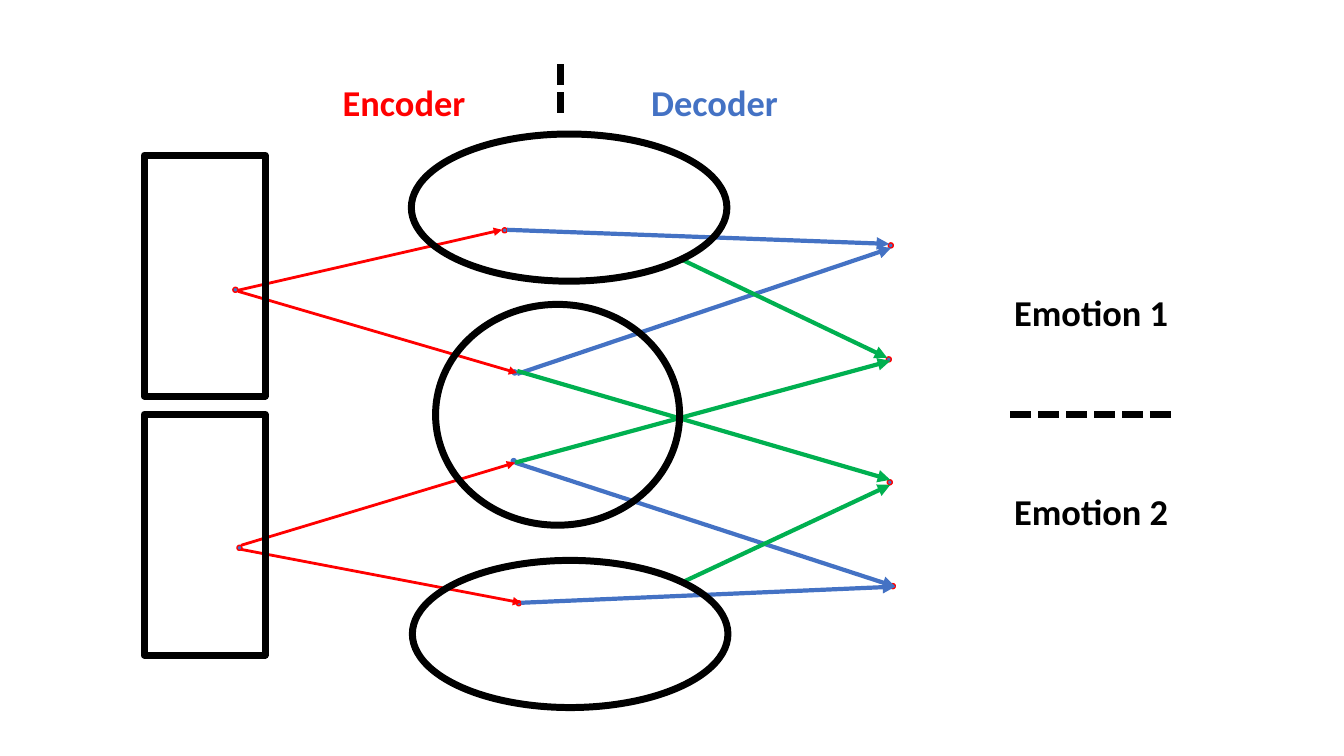
import pptx
import pptx.util
import pptx.dml.color
import pptx.enum.dml
import pptx.enum.shapes
import pptx.enum.text
import pptx.oxml.ns
from lxml import etree

RGB = pptx.dml.color.RGBColor
RED = RGB(0xFF, 0x00, 0x00)
BLUE = RGB(0x44, 0x72, 0xC4)
GREEN = RGB(0x00, 0xB0, 0x50)
BLACK = RGB(0x00, 0x00, 0x00)

FORM = pptx.enum.shapes.MSO_SHAPE
SCALE = 9144
DOT = 5

INPUTS = [(235, 541, RED), (231, 285, RED), (498, 226, RED),
          (507, 455, BLUE), (512, 596, RED), (508, 367, BLUE)]
TARGETS = [(881, 241, RED), (883, 579, RED), (879, 354, RED), (880, 476, RED)]

ENCODE = [(236, 288, 498, 228), (236, 289, 513, 370),
          (239, 541, 511, 459), (239, 545, 517, 598)]
DECODE = [(503, 228, 882, 242), (513, 371, 884, 246),
          (511, 459, 888, 582), (517, 598, 888, 582)]
CROSS = [(675, 257, 880, 355), (511, 459, 883, 358),
         (676, 578, 883, 481), (513, 368, 883, 476)]

RULES = [(1002, 411, 1165, 411), (556, 64, 556, 117)]
LABELS = [("Emotion 1", 996, 283, 175, BLACK), ("Emotion 2", 996, 480, 175, BLACK),
          ("Encoder", 330, 75, 145, RED), ("Decoder", 636, 75, 147, BLUE)]
OVALS = [(408, 133, 313, 146), (432, 302, 242, 219), (409, 556, 313, 146)]
BOXES = [(143, 154, 120, 239), (143, 411, 120, 239)]


def px(*sizes):
    return [pptx.util.Emu(size * SCALE) for size in sizes]


def add_form(slide, form, area, color, width, fill=None):
    shape = slide.shapes.add_shape(form, *px(*area))
    shape.shadow.inherit = False
    if fill is None:
        shape.fill.background()
    else:
        shape.fill.solid()
        shape.fill.fore_color.rgb = fill
    shape.line.color.rgb = color
    shape.line.width = pptx.util.Pt(width)


def add_dots(slide, dots):
    for left, top, color in dots:
        add_form(slide, FORM.OVAL, (left, top, DOT, DOT), color, 1, BLUE)


def add_line(slide, ends, color, width):
    kind = pptx.enum.shapes.MSO_CONNECTOR.STRAIGHT
    link = slide.shapes.add_connector(kind, *px(*ends))
    link.line.color.rgb = color
    link.line.width = pptx.util.Pt(width)
    etree.SubElement(link._element.spPr, pptx.oxml.ns.qn("a:effectLst"))
    return link.line


def add_arrows(slide, paths, color, width):
    for ends in paths:
        line = add_line(slide, ends, color, width)
        tail = etree.SubElement(line._get_or_add_ln(), pptx.oxml.ns.qn("a:tailEnd"))
        tail.set("type", "triangle")


def add_rule(slide, ends):
    line = add_line(slide, ends, BLACK, 5)
    line.dash_style = pptx.enum.dml.MSO_LINE.SQUARE_DOT


def add_label(slide, text, left, top, width, color):
    frame = slide.shapes.add_textbox(*px(left, top, width, 54)).text_frame
    frame.word_wrap = False
    frame.auto_size = pptx.enum.text.MSO_AUTO_SIZE.SHAPE_TO_FIT_TEXT
    frame.text = text
    font = frame.paragraphs[0].font
    font.name = "Calibri"
    font.size = pptx.util.Pt(26)
    font.bold = True
    font.color.rgb = color


def main():
    deck = pptx.Presentation()
    deck.slide_width, deck.slide_height = px(1333, 750)
    slide = deck.slides.add_slide(deck.slide_layouts[6])
    add_dots(slide, INPUTS)
    add_arrows(slide, ENCODE, RED, 2)
    add_dots(slide, TARGETS)
    add_arrows(slide, DECODE, BLUE, 3)
    add_arrows(slide, CROSS, GREEN, 3)
    for ends in RULES:
        add_rule(slide, ends)
    for label in LABELS:
        add_label(slide, *label)
    for area in OVALS:
        add_form(slide, FORM.OVAL, area, BLACK, 5)
    for area in BOXES:
        add_form(slide, FORM.RECTANGLE, area, BLACK, 5)
    deck.save("out.pptx")


if __name__ == "__main__":
    main()
